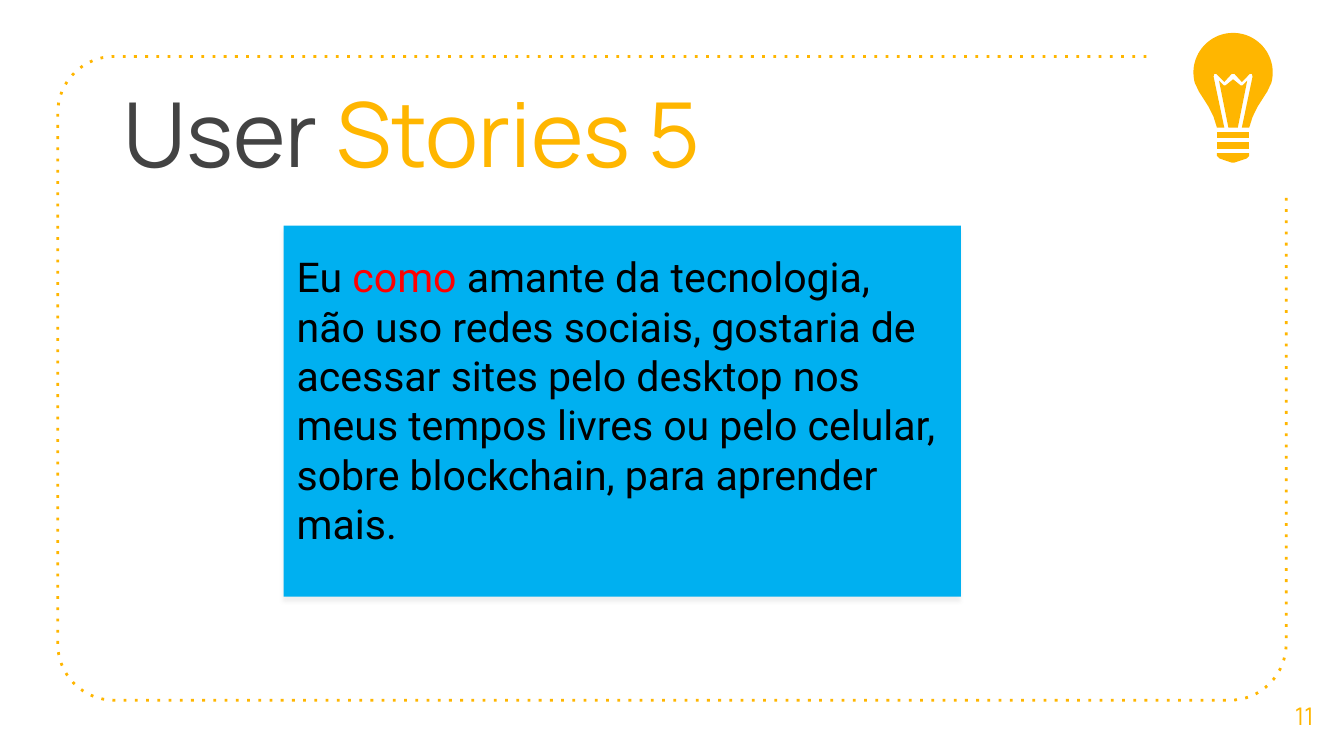
import math

from lxml import etree
from pptx import Presentation
from pptx import util as u
from pptx.dml.color import RGBColor
from pptx.enum import shapes, text
from pptx.oxml.ns import qn

COLORS = {"amber": "FFB600", "gray": "434343", "blue": "00B0F0",
          "black": "000000", "red": "FF0000", "shadow": "D9D9D9"}
W = 10
H = W * 9 / 16

TITLE = [("User", "gray"), (" Stories 5", "amber")]
STORY = [
    ("Eu ", "black"),
    ("como", "red"),
    (" amante da tecnologia, não uso redes sociais, gostaria de acessar sites "
     "pelo desktop nos meus tempos livres ou pelo celular, sobre blockchain, "
     "para aprender mais.", "black"),
]
PAGE = [("11", "amber")]

# Dotted frame: sides, corner radius, and where it opens for the bulb
LEFT, TOP, RIGHT, BOTTOM, RADIUS = 0.43, 0.42, 9.57, 5.21, 0.42
OPEN_X, OPEN_Y = 8.53, 1.46

# Bulb: right halves as (offset from the axis, y)
AXIS, BULB_Y, BULB_R = 9.175, 0.54, 0.295
NECK = [(0.255, 0.68), (0.185, 0.79), (0.145, 0.87), (0.12, 0.95)]
NOTCH = [(0.065, 0.95), (0.145, 0.57), (0.14, 0.55), (0.125, 0.55),
         (0.065, 0.61), (0.01, 0.55), (0, 0.55)]
FILAMENT = [(0, 0.59), (0.055, 0.635), (0.07, 0.635), (0.105, 0.6), (0.035, 0.95)]
BANDS = [[(0.12, y), (0.12, y + 0.05)] for y in (0.98, 1.06)]
BASE = [(0.12, 1.14), (0.12, 1.16), (0.1, 1.18), (0.01, 1.21)]


def rgb(name):
    return RGBColor.from_string(COLORS[name])


def arc(cx, cy, radius, start, end, steps=16):
    """Points on a circle, angles in degrees, clockwise from the right."""
    angles = [math.radians(start + (end - start) * i / steps) for i in range(steps + 1)]
    return [(cx + radius * math.cos(a), cy + radius * math.sin(a)) for a in angles]


def mirrored(half):
    """Close a right half with its reflection in the bulb's axis."""
    return ([(AXIS + dx, y) for dx, y in half]
            + [(AXIS - dx, y) for dx, y in reversed(half)])


def add_outline(slide, points, close=True):
    emu = [(u.Inches(x), u.Inches(y)) for x, y in points]
    builder = slide.shapes.build_freeform(*emu[0], scale=1.0)
    builder.add_line_segments(emu[1:], close=close)
    sp = builder.convert_to_shape()
    sp.shadow.inherit = False
    return sp


def write(sp, runs, size, font, align=text.PP_ALIGN.LEFT,
          anchor=text.MSO_ANCHOR.MIDDLE, insets=(0.1, 0.1, 0.1, 0.1)):
    tf = sp.text_frame
    tf.word_wrap = True
    tf.auto_size = text.MSO_AUTO_SIZE.NONE
    tf.vertical_anchor = anchor
    tf.margin_left, tf.margin_top, tf.margin_right, tf.margin_bottom = map(u.Inches, insets)
    p = tf.paragraphs[0]
    p.alignment = align
    for content, color in runs:
        r = p.add_run()
        r.text = content
        r.font.size, r.font.name = u.Pt(size), font
        r.font.color.rgb = rgb(color)


def add_shadow(sp, color, alpha, blur, dist):
    """Drop a soft shadow straight down; alpha in percent, lengths in points."""
    sp.shadow.inherit = False
    effects = sp.element.spPr.find(qn("a:effectLst"))
    shadow = etree.SubElement(effects, qn("a:outerShdw"), blurRad=str(u.Pt(blur)),
                              dist=str(u.Pt(dist)), dir="5400000", rotWithShape="0")
    tint = etree.SubElement(shadow, qn("a:srgbClr"), val=COLORS[color])
    etree.SubElement(tint, qn("a:alpha"), val=str(alpha * 1000))


def add_frame(slide):
    x0, x1 = LEFT + RADIUS, RIGHT - RADIUS
    y0, y1 = TOP + RADIUS, BOTTOM - RADIUS
    points = ([(OPEN_X, TOP)] + arc(x0, y0, RADIUS, 270, 180)
              + arc(x0, y1, RADIUS, 180, 90) + arc(x1, y1, RADIUS, 90, 0)
              + [(RIGHT, OPEN_Y)])
    sp = add_outline(slide, points, close=False)
    sp.fill.background()
    sp.line.color.rgb = rgb("amber")
    sp.line.width = u.Pt(1.5)
    line = sp.element.spPr.find(qn("a:ln"))
    etree.SubElement(line, qn("a:prstDash"), val="dot")


def add_bulb(slide):
    head = arc(0, BULB_Y, BULB_R, -90, 15, 24) + NECK + NOTCH
    for half in BANDS + [BASE, FILAMENT, head]:
        sp = add_outline(slide, mirrored(half))
        sp.fill.solid()
        sp.fill.fore_color.rgb = rgb("amber")
        sp.line.fill.background()


def main():
    prs = Presentation()
    prs.slide_width, prs.slide_height = u.Inches(W), u.Inches(H)
    slide = prs.slides.add_slide(prs.slide_layouts[5])
    add_frame(slide)

    title = slide.shapes.title
    title.left, title.top, title.width, title.height = map(u.Inches, (0.82, 0.48, 8.06, 0.94))
    write(title, TITLE, 48, "Manrope", anchor=text.MSO_ANCHOR.TOP)

    page = slide.shapes.add_textbox(*map(u.Inches, (W - 0.59, H - 0.6, 0.59, 0.6)))
    write(page, PAGE, 13, "Manrope", align=text.PP_ALIGN.CENTER)

    add_bulb(slide)

    card = slide.shapes.add_shape(shapes.MSO_SHAPE.RECTANGLE,
                                  *map(u.Inches, (2.11, 1.68, 5.04, 2.76)))
    card.fill.solid()
    card.fill.fore_color.rgb = rgb("blue")
    card.line.fill.background()
    add_shadow(card, "shadow", alpha=40, blur=2, dist=3)
    write(card, STORY, 22, "Roboto", insets=(0.1, 0.05, 0.1, 0.22))

    prs.save("out.pptx")


if __name__ == "__main__":
    main()
